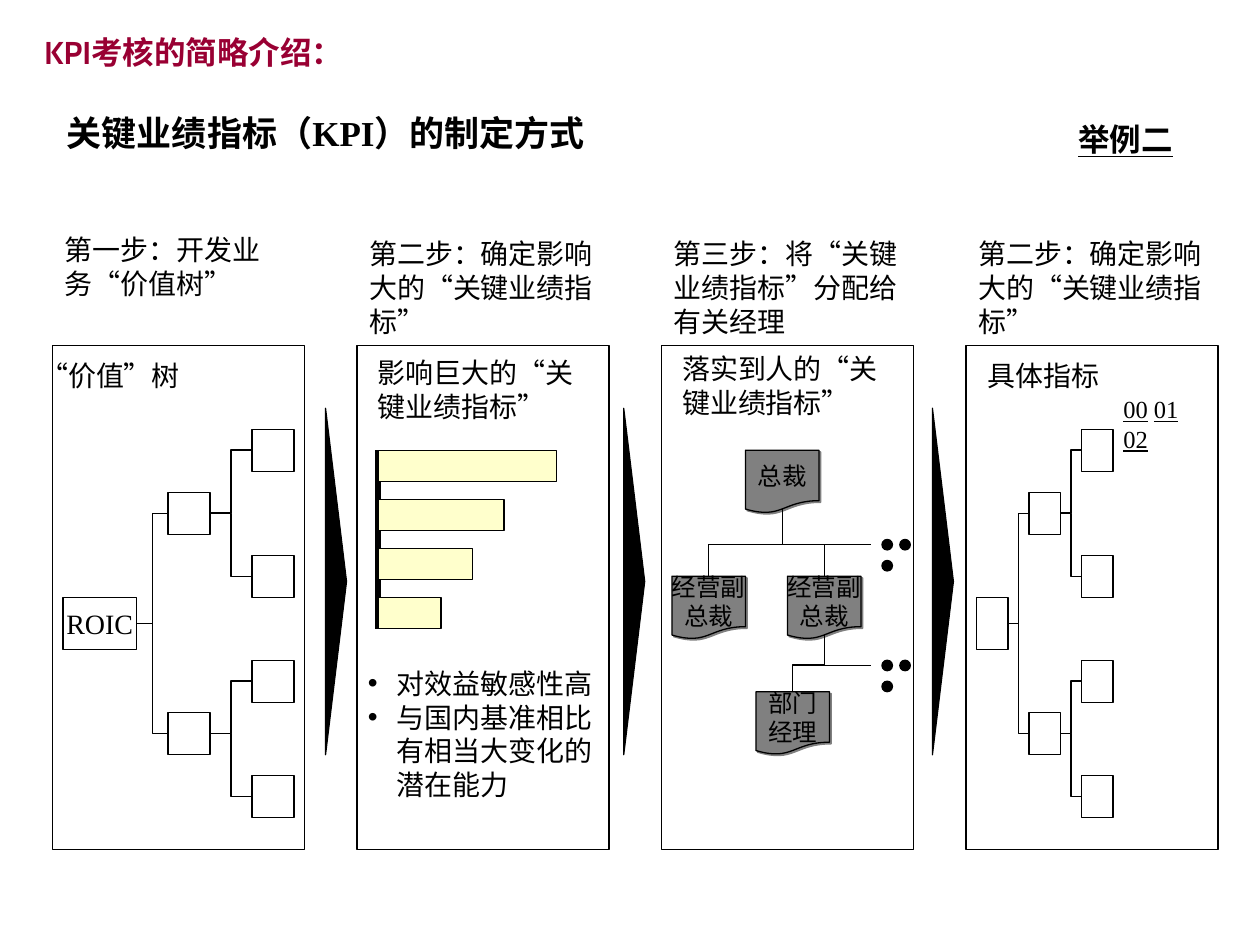
from dataclasses import dataclass
from lxml.etree import SubElement
from pptx import Presentation
from pptx.dml.color import RGBColor as Color
from pptx.enum.shapes import MSO_CONNECTOR as Line, MSO_SHAPE as Preset
from pptx.enum.text import MSO_ANCHOR as Anchor, MSO_AUTO_SIZE as Fit, PP_ALIGN as Align
from pptx.oxml.ns import qn
from pptx.util import Inches, Pt


@dataclass(frozen=True)
class Theme:
    ink: Color = Color(0, 0, 0)
    accent: Color = Color(0x99, 0x00, 0x33)
    bar: Color = Color(0xFF, 0xFF, 0xCC)
    grey: Color = Color(0x80, 0x80, 0x80)
    font: str = "Times New Roman"
    heading: Pt = Pt(20)
    title: Pt = Pt(18)
    text: Pt = Pt(16)
    small: Pt = Pt(14)
    hairline: Pt = Pt(0.75)
    axis: Pt = Pt(3)


theme = Theme()
deck = Presentation()
deck.slide_width, deck.slide_height = Inches(10), Inches(7.5)
page = deck.slides.add_slide(deck.slide_layouts[1])

# Grid: cells of a twelfth of an inch
CELL = Inches(1) // 12
TOP = -Inches(0.01)
PANELS = [5 + 29 * index for index in range(4)]


def place(preset, col, row, width, height, text="", size=theme.text,
          fill=None, align=Align.CENTER, wrap=False):
    """Put a shape, or a text box when preset is None, on the grid."""
    area = [int(n) for n in (col * CELL, TOP + row * CELL, width * CELL, height * CELL)]
    if preset is None:
        box = page.shapes.add_textbox(*area)
    else:
        box = page.shapes.add_shape(preset, *area)
        box.shadow.inherit = False
        box.line.color.rgb = theme.ink
        box.line.width = theme.hairline
        if fill is None:
            box.fill.background()
        else:
            box.fill.solid()
            box.fill.fore_color.rgb = fill
    if preset is None or text:
        frame = box.text_frame
        frame.text = text
        frame.word_wrap = wrap
        frame.vertical_anchor = Anchor.TOP if preset is None else Anchor.MIDDLE
        for para in frame.paragraphs:
            para.alignment = align
            para.font.name, para.font.size = theme.font, size
            para.font.color.rgb = theme.ink
    return box


def link(kind, x1, y1, x2, y2, width=theme.hairline, upright=False):
    """Join two grid points; an upright elbow leaves its start downwards."""
    if upright:
        side = 1 if x2 < x1 else -1
        mid_x, mid_y = (x1 + x2) / 2, (y1 + y2) / 2
        half_x, half_y = side * (y2 - y1) / 2, abs(x2 - x1) / 2
        x1, y1, x2, y2 = mid_x - half_x, mid_y - half_y, mid_x + half_x, mid_y + half_y
    line = page.shapes.add_connector(kind, int(x1 * CELL), int(TOP + y1 * CELL),
                                     int(x2 * CELL), int(TOP + y2 * CELL))
    line.line.color.rgb = theme.ink
    line.line.width = width
    properties = line._element.spPr
    SubElement(properties, qn("a:effectLst"))
    if upright:
        properties.find(qn("a:xfrm")).set("rot", str((90 if side > 0 else 270) * 60000))
        values = properties.find(qn("a:prstGeom")).get_or_add_avLst()
        SubElement(values, qn("a:gd"), name="adj1", fmla="val 53000")


# Title
title = page.shapes.title
title.left, title.top = 3 * CELL, Inches(0.21)
title.width, title.height = Inches(2.68), Inches(0.4)
frame = title.text_frame
frame.word_wrap, frame.auto_size = False, Fit.NONE
frame.vertical_anchor = Anchor.TOP
para = frame.paragraphs[0]
para.alignment = Align.LEFT
para.font.size, para.font.bold = theme.title, True
para.font.color.rgb = theme.accent
for words, font in (("KPI", "Cabin"), ("考核的简略介绍：", "Noto Sans CJK SC")):
    span = para.add_run()
    span.text, span.font.name = words, font

# Heading and example tag
heading = place(None, 4.4, 10.1, 53.3, 5.3, "关键业绩指标（KPI）的制定方式", theme.heading)
heading.text_frame.vertical_anchor = Anchor.MIDDLE
heading.text_frame.paragraphs[0].font.bold = True
tag = place(None, 101.5, 11, 11.4, 4.8, "举例二", theme.title, align=Align.LEFT)
tag.text_frame.paragraphs[0].font.bold = True
tag.text_frame.paragraphs[0].font.underline = True

# Four panels: step above, caption inside (col, row, width, wrap)
second_step = "第二步：确定影响大的“关键业绩指标”"
steps = ["第一步：开发业务“价值树”", second_step,
         "第三步：将“关键业绩指标”分配给有关经理", second_step]
captions = [("“价值”树", 2.65, 33.7, 15.7, False),
            ("影响巨大的“关键业绩指标”", 34.8, 33.4, 23.2, True),
            ("落实到人的“关键业绩指标”", 63.8, 33, 23.2, True),
            ("具体指标", 92.9, 33.7, 13, False)]
for index, (col, step, caption) in enumerate(zip(PANELS, steps, captions)):
    words, left, top, width, wrap = caption
    place(Preset.RECTANGLE, col, 33, 24, 48)
    place(None, col, 22.1 if index else 21.7, 24, 10.8, step, align=Align.LEFT, wrap=True)
    place(None, left, top, width, 4.5, words, align=Align.LEFT, wrap=wrap)

# Arrows between the panels
for col in (31, 59.4, 88.8):
    arrow = place(Preset.RIGHT_ARROW, col, 39, 2, 33, fill=theme.ink)
    arrow.adjustments[0], arrow.adjustments[1] = 0.44, 1

# Value trees in the first and last panels
branches = {47: (41, 53), 68: (63, 74)}
for root, root_width, middle, leaf, width, label in (
        (6, 7, 16, 24, 4, "ROIC"), (93, 3, 98, 103, 3, "")):
    place(Preset.RECTANGLE, root, 57, root_width, 5, label)
    for row, leaf_rows in branches.items():
        place(Preset.RECTANGLE, middle, row, width, 4)
        link(Line.ELBOW, root + root_width, 59.5, middle, row + 2)
        for leaf_row in leaf_rows:
            place(Preset.RECTANGLE, leaf, leaf_row, width, 4)
            link(Line.ELBOW, middle + width, row + 2, leaf, leaf_row + 2)

# Impact bars
link(Line.STRAIGHT, 36, 43, 36, 60, theme.axis)
for index, width in enumerate((17, 12, 9, 6)):
    place(Preset.RECTANGLE, 36, 43 + index * 14 / 3, width, 3, fill=theme.bar)

# Bullets under the bars
body = page.placeholders[1]
body.left, body.top = Inches(2.82), Inches(5.24)
body.width, body.height = Inches(2.02), Inches(1.17)
frame = body.text_frame
frame.text = "对效益敏感性高\n与国内基准相比有相当大变化的潜在能力"
frame.word_wrap, frame.auto_size = True, Fit.NONE
for para in frame.paragraphs:
    bullet = para._p.get_or_add_pPr()
    bullet.set("marL", str(Inches(0.23)))
    bullet.set("indent", str(-Inches(0.23)))
    SubElement(bullet, qn("a:buChar"), char="•")
    para.space_before = Pt(0)
    para.font.name, para.font.size = theme.font, theme.text
    para.font.color.rgb = theme.ink

# Organisation chart
for col, row, post in ((71, 43, "总裁"), (64, 55, "经营副\n总裁"),
                       (75, 55, "经营副\n总裁"), (72, 66, "部门\n经理")):
    post_box = place(Preset.FLOWCHART_DOCUMENT, col, row, 7, 6, post, theme.small, theme.grey)
    effects = post_box._element.spPr.find(qn("a:effectLst"))
    shadow = SubElement(effects, qn("a:outerShdw"), dist=str(Pt(1.4)), dir="2700000")
    SubElement(shadow, qn("a:srgbClr"), val=str(theme.grey))
for x1, y1, x2, y2 in ((74.5, 48.6, 67.5, 55), (74.5, 48.6, 78.5, 55), (78.5, 60.6, 75.5, 66)):
    link(Line.ELBOW, x1, y1, x2, y2, upright=True)
for start, row in ((77, 52), (78, 63.5)):
    link(Line.STRAIGHT, start, row, 83, row)
    for col, drop in ((84, 0), (85.7, 0), (84, 2)):
        place(Preset.OVAL, col, row - 0.5 + drop, 1, 1, fill=theme.ink)

# Years of the indicators
years = place(None, 105.8, 37.1, 10.5, 4.1, size=theme.small, align=Align.LEFT)
for words in ("00", " ", "01", " ", "02"):
    span = years.text_frame.paragraphs[0].add_run()
    span.text, span.font.underline = words, words != " "

deck.save("out.pptx")
